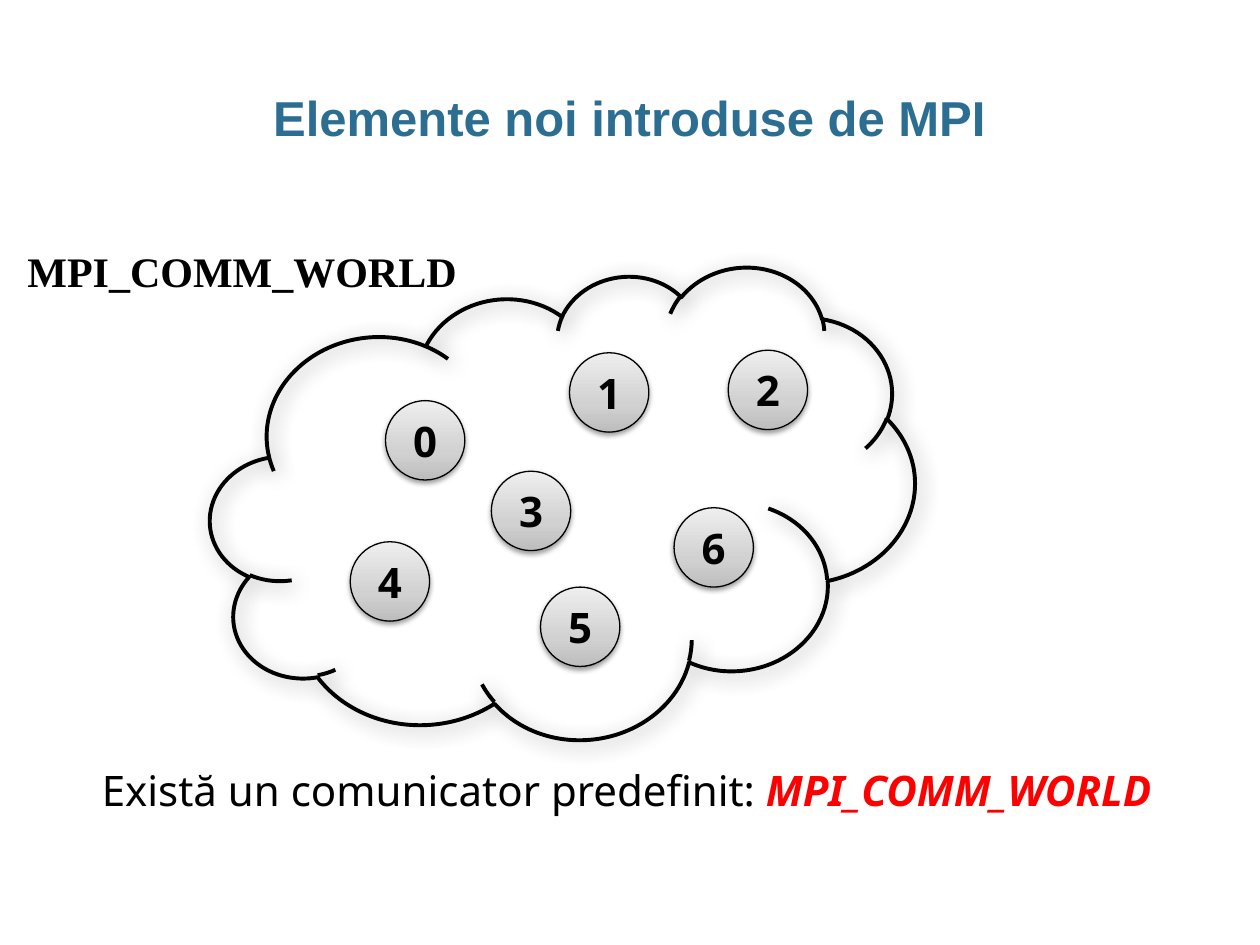
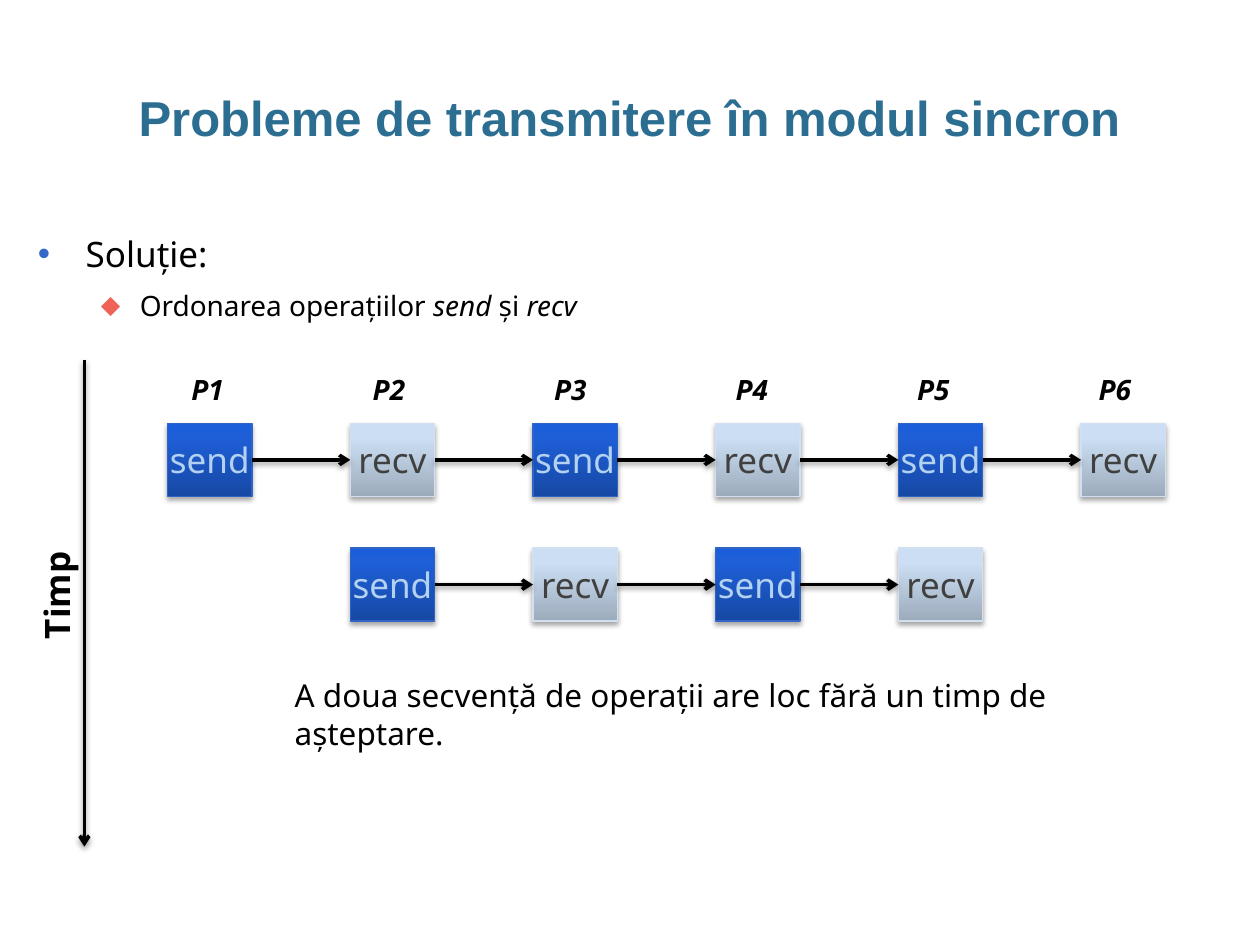
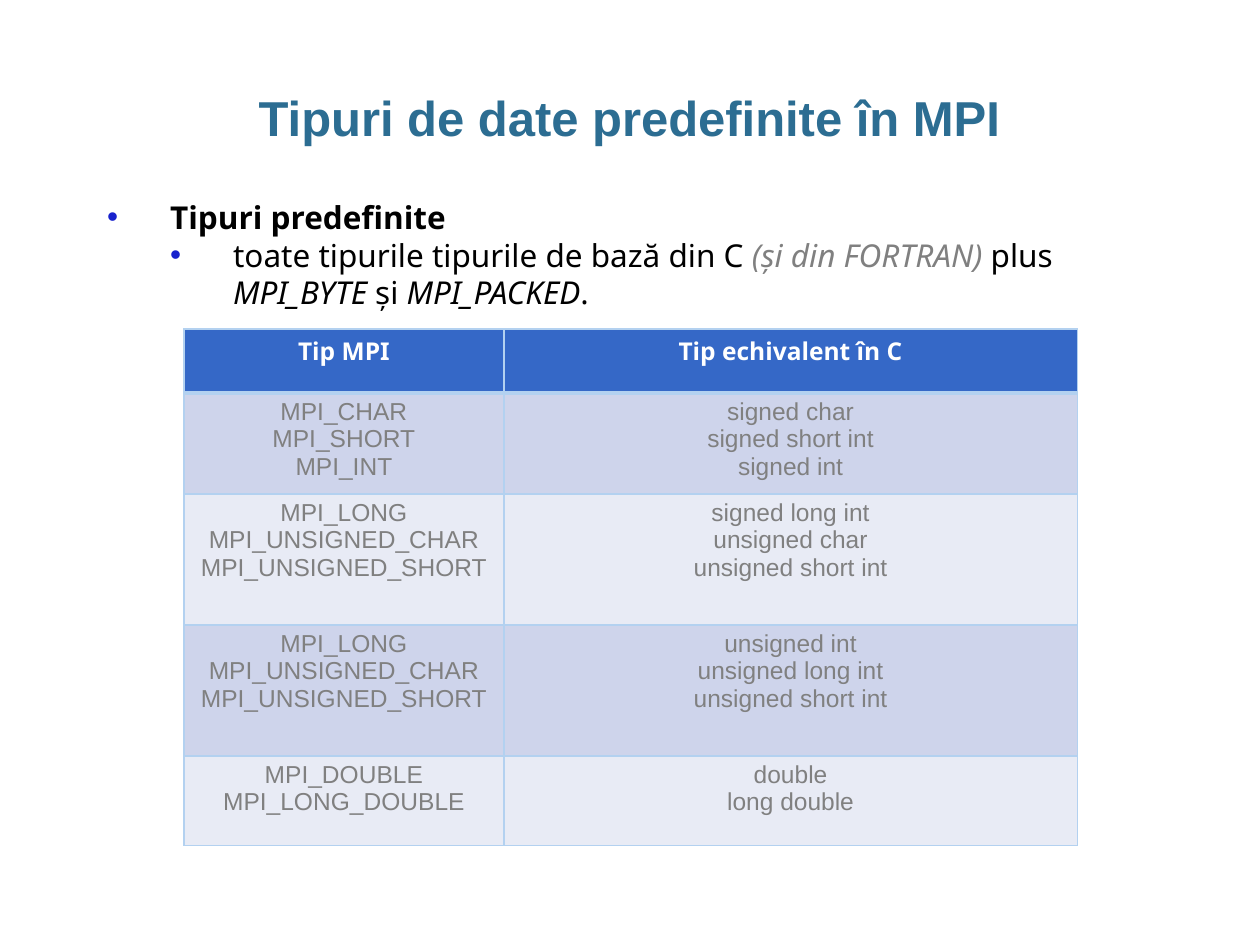
from lxml.etree import SubElement
from pptx import Presentation
from pptx.dml.color import RGBColor
from pptx.enum.shapes import MSO_CONNECTOR as Connector, MSO_SHAPE as Shape
from pptx.enum.text import MSO_ANCHOR as Anchor, MSO_AUTO_SIZE as AutoSize, PP_ALIGN as Align
from pptx.oxml.ns import qn
from pptx.util import Inches, Pt

COLORS = {
    "title": "2C6D92", "text": "000000", "white": "FFFFFF", "accent": "FF0000",
    "gray": "808080", "bullet": "3568C7", "diamond": "F06157", "types_bullet": "1822CD",
    "send_line": "3065C6", "send_text": "B3D1F0", "recv_line": "D0E0F1",
    "recv_text": "404040", "header": "3568C7", "band_dark": "CED4EB",
    "band_light": "E8EBF5", "border": "B3D1F0",
}
# Stops run from the bottom of the shape to its top: (percent, colour).
GRADIENTS = {
    "process": [(0, "BDBDBD"), (35, "D1D1D1"), (100, "EEEEEE")],
    "send": [(0, "1749A5"), (80, "1E5ED6"), (100, "1B5EDB")],
    "recv": [(0, "9CABBB"), (80, "CBDEF3"), (100, "CBDFF5")],
}
BODY_FONT = "Noto Sans"
TITLE_ONLY, TITLE_AND_CONTENT = 5, 1

PROCESSES = [("0", 3.06, 3.18), ("1", 4.52, 2.8), ("3", 3.9, 3.74), ("4", 2.78, 4.3),
             ("5", 4.29, 4.66), ("6", 5.35, 4.03), ("2", 5.78, 2.78)]
BOX_LEFT, BOX_PITCH = 1.33, 1.45
LABEL_LEFT, LABEL_PITCH = 1.42, 1.44

TYPE_ROWS = [
    (["Tip MPI"], ["Tip echivalent în C"]),
    (["MPI_CHAR", "MPI_SHORT", "MPI_INT"],
     ["signed char", "signed short int", "signed int"]),
    (["MPI_LONG", "MPI_UNSIGNED_CHAR", "MPI_UNSIGNED_SHORT"],
     ["signed long int", "unsigned char", "unsigned short int"]),
    (["MPI_LONG", "MPI_UNSIGNED_CHAR", "MPI_UNSIGNED_SHORT"],
     ["unsigned int", "unsigned long int", "unsigned short int"]),
    (["MPI_DOUBLE", "MPI_LONG_DOUBLE"], ["double", "long double"]),
]
COLUMN_WIDTHS = [2.54, 4.55]
ROW_HEIGHTS = [0.51, 0.8, 1.04, 1.04, 0.71]


def rgb(name):
    return RGBColor.from_string(COLORS[name])


def add_run(paragraph, text, size, color="text", font=BODY_FONT, bold=False, italic=False):
    run = paragraph.add_run()
    run.text = text
    run.font.size = Pt(size)
    run.font.name = font
    run.font.bold = bold
    run.font.italic = italic
    run.font.color.rgb = rgb(color)


def place(shape, left, top, width, height):
    shape.left, shape.top = Inches(left), Inches(top)
    shape.width, shape.height = Inches(width), Inches(height)


def set_indent(paragraph, margin, hanging):
    properties = paragraph._p.get_or_add_pPr()
    properties.set("marL", str(Inches(margin)))
    properties.set("indent", str(-Inches(hanging)))
    return properties


def set_bullet(paragraph, margin, hanging, character, color):
    properties = set_indent(paragraph, margin, hanging)
    SubElement(SubElement(properties, qn("a:buClr")), qn("a:srgbClr"), val=COLORS[color])
    SubElement(properties, qn("a:buFont"), typeface="Arial")
    SubElement(properties, qn("a:buChar"), char=character)


def add_shadow(shape, opacity, blur, distance, angle):
    effects = SubElement(shape._element.spPr, qn("a:effectLst"))
    shadow = SubElement(effects, qn("a:outerShdw"), blurRad=str(Pt(blur)),
                        dist=str(Pt(distance)), dir=str(angle * 60000), rotWithShape="0")
    color = SubElement(shadow, qn("a:srgbClr"), val=COLORS["text"])
    SubElement(color, qn("a:alpha"), val=str(opacity * 1000))


def fill_gradient(shape, name):
    shape.fill.gradient()
    shape.fill.gradient_angle = 90
    stops = shape._element.spPr.find(qn("a:gradFill")).find(qn("a:gsLst"))
    for stop in list(stops):
        stops.remove(stop)
    for percent, color in GRADIENTS[name]:
        stop = SubElement(stops, qn("a:gs"), pos=str(percent * 1000))
        SubElement(stop, qn("a:srgbClr"), val=color)


def add_titled_slide(presentation, title, layout):
    slide = presentation.slides.add_slide(presentation.slide_layouts[layout])
    place(slide.shapes.title, 0.34, 0.68, 9.31, 0.5)
    frame = slide.shapes.title.text_frame
    frame.auto_size = AutoSize.NONE
    frame.vertical_anchor = Anchor.TOP
    frame.margin_left = frame.margin_right = 0
    paragraph = frame.paragraphs[0]
    paragraph.alignment = Align.CENTER
    paragraph.line_spacing = 0.95
    add_run(paragraph, title, 28, "title", "Arial", bold=True)
    return slide


def add_text(slide, left, top, width, height):
    """Add a wrapping text box and return it with its first paragraph."""
    box = slide.shapes.add_textbox(Inches(left), Inches(top), Inches(width), Inches(height))
    box.text_frame.word_wrap = True
    return box, box.text_frame.paragraphs[0]


def start_list(slide, left, top, width, height):
    """Place the body placeholder and return its paragraphs for two levels."""
    body = slide.placeholders[1]
    place(body, left, top, width, height)
    frame = body.text_frame
    frame.auto_size = AutoSize.NONE
    first, second = frame.paragraphs[0], frame.add_paragraph()
    second.level = 1
    return first, second


def add_gradient_shape(slide, kind, left, top, width, height, gradient, line, shadow):
    shape = slide.shapes.add_shape(kind, Inches(left), Inches(top), Inches(width), Inches(height))
    fill_gradient(shape, gradient)
    shape.line.color.rgb = rgb(line)
    shape.line.width = Pt(0.75)
    add_shadow(shape, *shadow)
    frame = shape.text_frame
    frame.word_wrap = False
    frame.vertical_anchor = Anchor.MIDDLE
    frame.paragraphs[0].alignment = Align.CENTER
    return shape


def add_process(slide, label, left, top):
    circle = add_gradient_shape(slide, Shape.OVAL, left, top, 0.63, 0.63,
                                "process", "text", (38, 3.1, 1.6, 90))
    add_run(circle.text_frame.paragraphs[0], label, 24, bold=True)


def add_operation(slide, name, left, top):
    box = add_gradient_shape(slide, Shape.RECTANGLE, left, top, 0.67, 0.58,
                             name, name + "_line", (35, 3.1, 1.8, 90))
    add_run(box.text_frame.paragraphs[0], name, 20, name + "_text")
    return box


def add_arrow(slide, start, end):
    arrow = slide.shapes.add_connector(Connector.STRAIGHT, *map(Inches, start + end))
    arrow.line.color.rgb = rgb("text")
    arrow.line.width = Pt(2)
    SubElement(arrow._element.spPr.find(qn("a:ln")), qn("a:tailEnd"), type="arrow")
    add_shadow(arrow, 38, 3.1, 1.6, 90)
    return arrow


def join_operations(slide, sender, receiver):
    arrow = add_arrow(slide, (0, 0), (1, 0))
    arrow.begin_connect(sender, 3)
    arrow.end_connect(receiver, 1)


def set_borders(cell, top, bottom):
    properties = cell._tc.get_or_add_tcPr()
    for side, width in (("L", 1), ("R", 1), ("T", top), ("B", bottom)):
        line = SubElement(properties, qn("a:ln" + side), w=str(Pt(width)))
        SubElement(SubElement(line, qn("a:solidFill")), qn("a:srgbClr"), val=COLORS["border"])


def fill_cell(cell, lines, row):
    is_header = row == 0
    cell.margin_left = cell.margin_right = Inches(0.08)
    cell.margin_top = cell.margin_bottom = Inches(0.04)
    set_borders(cell, top=3 if row == 1 else 1, bottom=3 if is_header else 1)
    cell.fill.solid()
    band = "band_dark" if row % 2 else "band_light"
    cell.fill.fore_color.rgb = rgb("header" if is_header else band)
    frame = cell.text_frame
    for index, line in enumerate(lines):
        paragraph = frame.add_paragraph() if index else frame.paragraphs[0]
        paragraph.alignment = Align.CENTER
        if is_header:
            add_run(paragraph, line, 14, "white", bold=True)
        else:
            add_run(paragraph, line, 14, "gray", "Arial")


def add_type_table(slide):
    table = slide.shapes.add_table(len(TYPE_ROWS), len(COLUMN_WIDTHS), Inches(1.46), Inches(2.61),
                                   Inches(sum(COLUMN_WIDTHS)), Inches(sum(ROW_HEIGHTS))).table
    for column, width in zip(table.columns, COLUMN_WIDTHS):
        column.width = Inches(width)
    for row, (height, cells) in enumerate(zip(ROW_HEIGHTS, TYPE_ROWS)):
        table.rows[row].height = Inches(height)
        for column, lines in enumerate(cells):
            fill_cell(table.cell(row, column), lines, row)


def build_communicator_slide(presentation):
    slide = add_titled_slide(presentation, "Elemente noi introduse de MPI", TITLE_ONLY)
    for label, left, top in PROCESSES:
        add_process(slide, label, left, top)

    name_box, paragraph = add_text(slide, 0.12, 1.9, 3.84, 0.5)
    name_box.fill.solid()
    name_box.fill.fore_color.rgb = rgb("white")
    add_run(paragraph, "MPI_COMM_WORLD", 24, font="Times New Roman", bold=True)

    _, paragraph = add_text(slide, 0.71, 6.02, 8.58, 0.91)
    set_indent(paragraph, 0.58, 0.58)
    add_run(paragraph, "Există un comunicator predefinit: ", 24)
    add_run(paragraph, "MPI_COMM_WORLD", 24, "accent", bold=True, italic=True)

    cloud = slide.shapes.add_shape(Shape.CLOUD, Inches(1.67), Inches(2.23),
                                   Inches(5.6), Inches(3.64))
    cloud.rotation = 355.5
    cloud.fill.background()
    cloud.line.color.rgb = rgb("text")
    cloud.line.width = Pt(2.25)
    add_shadow(cloud, 40, 12, 3, 45)


def build_ordering_slide(presentation):
    slide = add_titled_slide(presentation, "Probleme de transmitere în modul sincron",
                             TITLE_AND_CONTENT)
    solution, ordering = start_list(slide, 0.2, 1.86, 9.58, 0.87)
    set_bullet(solution, 0.38, 0.38, "•", "bullet")
    set_bullet(ordering, 0.81, 0.31, "⬥", "diamond")
    for paragraph in (solution, ordering):
        paragraph.line_spacing = 0.8
        paragraph.space_before = paragraph.space_after = Pt(6)
    add_run(solution, "Soluție:", 20)
    add_run(ordering, "Ordonarea operațiilor ", 16)
    add_run(ordering, "send", 16, italic=True)
    add_run(ordering, " și ", 16)
    add_run(ordering, "recv", 16, italic=True)

    add_arrow(slide, (0.67, 2.86), (0.67, 6.72))
    time_box, paragraph = add_text(slide, -0.1, 4.4, 1.1, 0.44)
    time_box.rotation = 270
    add_run(paragraph, "Timp", 20, bold=True)

    # Each sequence: top, first process, number of operations.
    for top, first, count in ((3.36, 0, 6), (4.35, 1, 4)):
        boxes = [add_operation(slide, ("send", "recv")[step % 2],
                               BOX_LEFT + BOX_PITCH * (first + step), top)
                 for step in range(count)]
        for sender, receiver in zip(boxes, boxes[1:]):
            join_operations(slide, sender, receiver)

    _, paragraph = add_text(slide, 2.24, 5.32, 7.27, 0.4)
    add_run(paragraph, "A doua secvență de operații are loc fără un timp de așteptare.", 18)
    for index in range(6):
        _, paragraph = add_text(slide, LABEL_LEFT + LABEL_PITCH * index, 2.91, 0.59, 0.37)
        add_run(paragraph, f"P{index + 1}", 16, bold=True, italic=True)


def build_types_slide(presentation):
    slide = add_titled_slide(presentation, "Tipuri de date predefinite în MPI",
                             TITLE_AND_CONTENT)
    heading, detail = start_list(slide, 0.75, 1.52, 8.5, 1.01)
    set_bullet(heading, 0.5, 0.5, "•", "types_bullet")
    set_bullet(detail, 1, 0.5, "•", "types_bullet")
    for paragraph in (heading, detail):
        paragraph.space_before = Pt(0)
    add_run(heading, "Tipuri predefinite", 18, bold=True)
    add_run(detail, "toate tipurile tipurile de bază din C ", 18)
    add_run(detail, "(și din FORTRAN) ", 18, "gray", italic=True)
    add_run(detail, "plus ", 18)
    add_run(detail, "MPI_BYTE ", 18, italic=True)
    add_run(detail, "și ", 18)
    add_run(detail, "MPI_PACKED", 18, italic=True)
    add_run(detail, ".", 18)
    add_type_table(slide)


def main():
    presentation = Presentation()
    presentation.slide_width, presentation.slide_height = Inches(10), Inches(7.5)
    build_communicator_slide(presentation)
    build_ordering_slide(presentation)
    build_types_slide(presentation)
    presentation.save("out.pptx")


if __name__ == "__main__":
    main()
